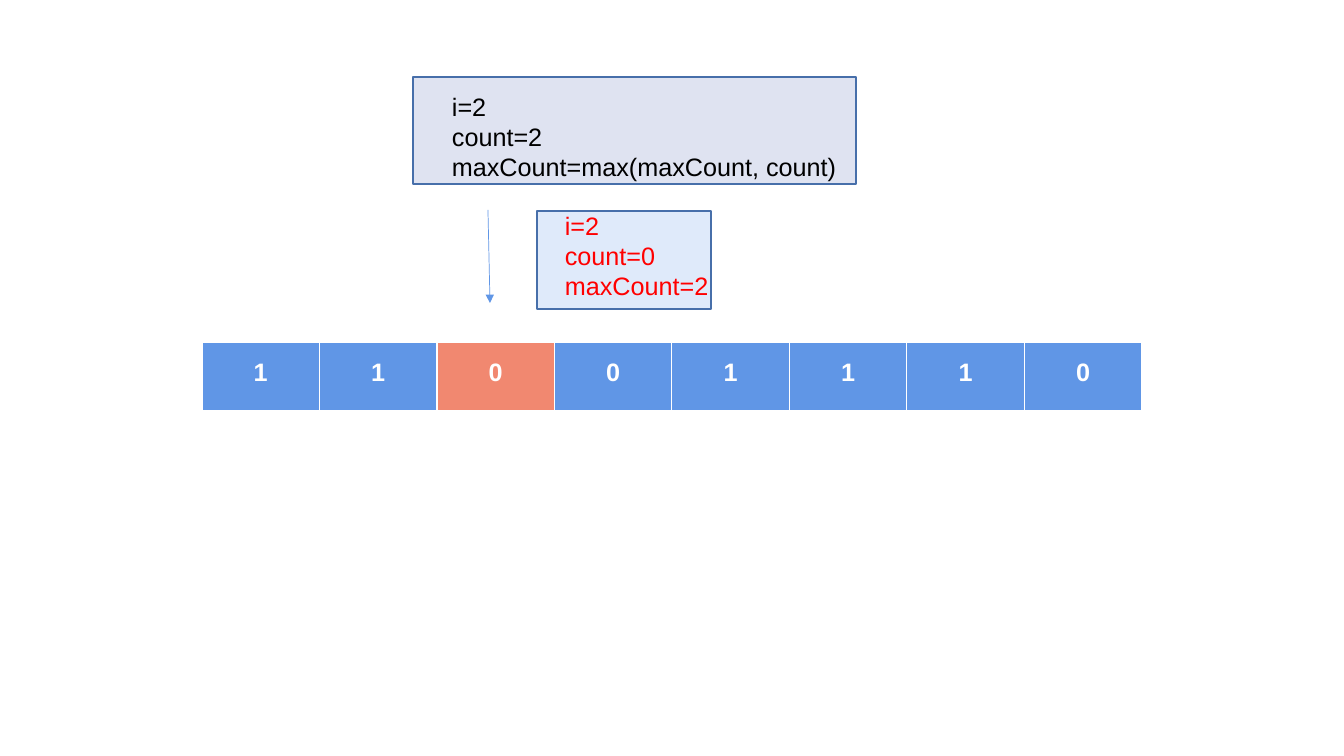
"""Build a slide that shows one step of counting consecutive ones in an array."""
from lxml import etree
from pptx import Presentation
from pptx import util as u
from pptx.dml.color import RGBColor
from pptx.enum import shapes, text
from pptx.oxml import ns

SCALE = 12192000 / 1344
COLORS = {
    "cell": "6096E6", "current": "F18870", "white": "FFFFFF",
    "result_box": "DFEAFA", "step_box": "DFE3F1", "outline": "476FAA",
    "step_text": "000000", "result_text": "FF0000",
}
FONT = {"name": "Arial", "size": u.Pt(18)}
VALUES = [1, 1, 0, 0, 1, 1, 1, 0]
CURRENT = 2
BORDERS = {"lnL": 1, "lnR": 1, "lnT": 1, "lnB": 3}


def px(*lengths):
    """Turn pixel lengths into EMU."""
    return [u.Emu(round(length * SCALE)) for length in lengths]


def color(name):
    """Look up a named colour."""
    return RGBColor.from_string(COLORS[name])


def format_font(font, color_name, **values):
    """Set the common font and any further values."""
    for key, value in {**FONT, **values}.items():
        setattr(font, key, value)
    font.color.rgb = color(color_name)


def add_box(slide, place, fill):
    """Add an outlined rectangle."""
    box = slide.shapes.add_shape(shapes.MSO_SHAPE.RECTANGLE, *px(*place))
    box.shadow.inherit = False
    box.fill.solid()
    box.fill.fore_color.rgb = color(fill)
    box.line.color.rgb = color("outline")
    box.line.width = u.Pt(1)


def add_text(slide, place, lines, color_name):
    """Add a text box with one paragraph per line."""
    frame = slide.shapes.add_textbox(*px(*place)).text_frame
    frame.word_wrap = True
    frame.auto_size = text.MSO_AUTO_SIZE.SHAPE_TO_FIT_TEXT
    frame.text = "\n".join(lines)
    for paragraph in frame.paragraphs:
        format_font(paragraph.runs[0].font, color_name)


def add_borders(cell):
    """Draw white borders around a table cell."""
    properties = cell._tc.get_or_add_tcPr()
    for position, (side, width) in enumerate(BORDERS.items()):
        line = etree.Element(ns.qn(f"a:{side}"), w=str(u.Pt(width)))
        fill = etree.SubElement(line, ns.qn("a:solidFill"))
        etree.SubElement(fill, ns.qn("a:srgbClr"), val=COLORS["white"])
        properties.insert(position, line)


def add_array(slide, place, values, current):
    """Add a one-row table with the current cell highlighted."""
    table = slide.shapes.add_table(1, len(values), *px(*place)).table
    for index, value in enumerate(values):
        cell = table.cell(0, index)
        cell.fill.solid()
        cell.fill.fore_color.rgb = color("current" if index == current else "cell")
        add_borders(cell)
        cell.text = str(value)
        paragraph = cell.text_frame.paragraphs[0]
        paragraph.alignment = text.PP_ALIGN.CENTER
        paragraph.line_spacing = 1.4
        format_font(paragraph.runs[0].font, "white", bold=True)


def add_arrow(slide, ends):
    """Add a thin straight arrow."""
    arrow = slide.shapes.add_connector(shapes.MSO_CONNECTOR.STRAIGHT, *px(*ends))
    arrow.line.color.rgb = color("cell")
    arrow.line.width = u.Pt(0.5)
    etree.SubElement(arrow.line._get_or_add_ln(), ns.qn("a:tailEnd"), type="triangle")
    etree.SubElement(arrow._element.spPr, ns.qn("a:effectLst"))


def main():
    """Build and save the presentation."""
    presentation = Presentation()
    presentation.slide_width, presentation.slide_height = px(1344, 756)
    slide = presentation.slides.add_slide(presentation.slide_layouts[6])
    add_box(slide, (537, 211, 174, 98), "result_box")
    add_box(slide, (413, 77, 443, 107), "step_box")
    add_array(slide, (202, 342, 940, 70), VALUES, CURRENT)
    add_arrow(slide, (488, 210, 490, 303))
    add_text(slide, (442, 86, 485, 98),
             ["i=2", "count=2", "maxCount=max(maxCount, count)"], "step_text")
    add_text(slide, (555, 205, 564, 98),
             ["i=2", "count=0", "maxCount=2"], "result_text")
    presentation.save("out.pptx")


if __name__ == "__main__":
    main()
